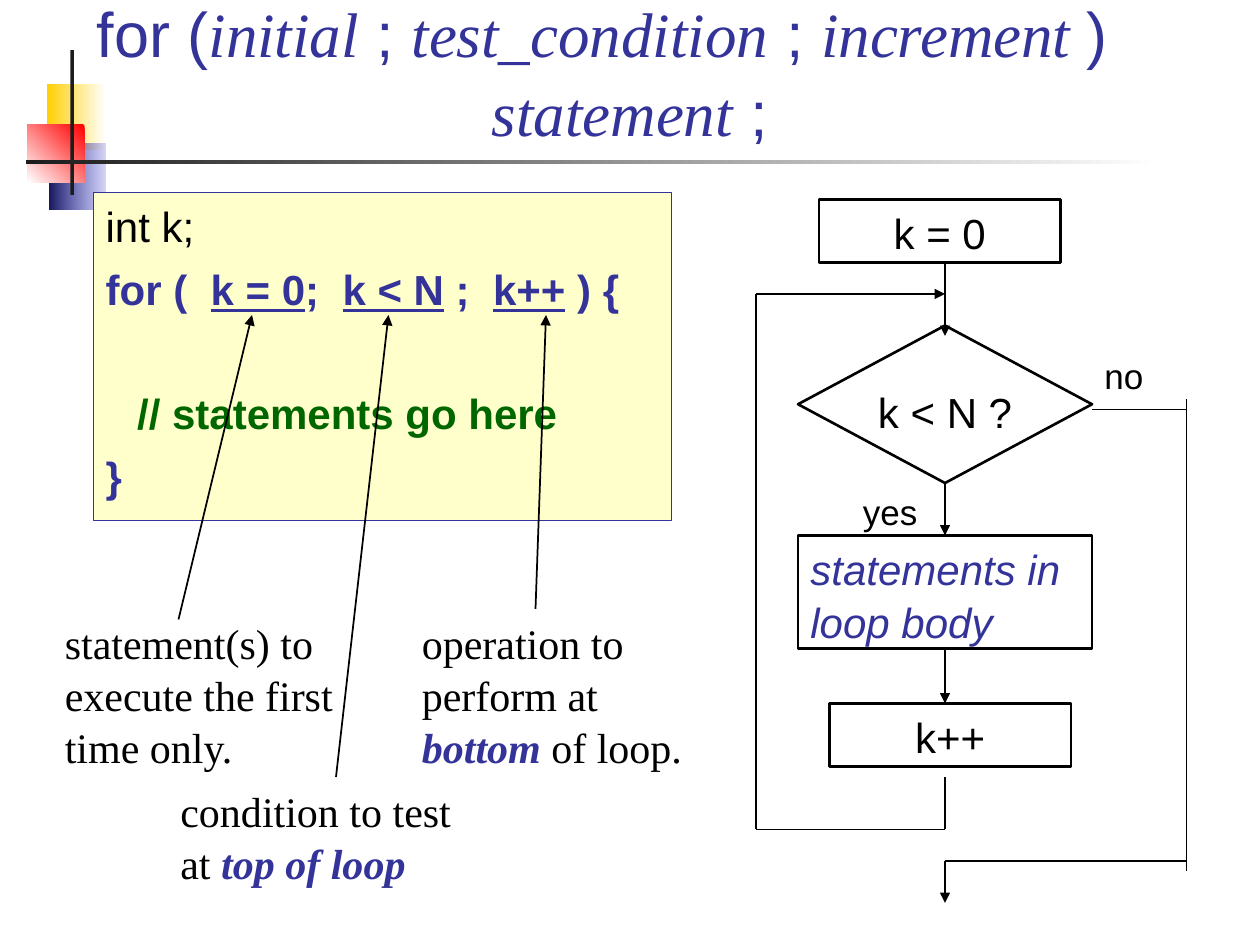
from dataclasses import dataclass

from lxml import etree
from pptx import Presentation
from pptx.dml.color import RGBColor
from pptx.enum.shapes import MSO_CONNECTOR, MSO_SHAPE
from pptx.enum.text import MSO_ANCHOR, MSO_AUTO_SIZE, PP_ALIGN
from pptx.oxml.ns import qn
from pptx.util import Inches, Pt


@dataclass(frozen=True)
class Theme:
    black: str = "000000"
    navy: str = "333399"
    green: str = "006600"
    cream: str = "FFFFCC"
    charcoal: str = "1C1C1C"
    white: str = "FFFFFF"
    sans: str = "Arial"
    serif: str = "Times New Roman"
    title: int = 36
    body: int = 24
    label: int = 20
    leading: float = 1.04


theme = Theme()
CELL = Inches(10) // 120  # the slide is a grid of 120 columns by 90 rows

# style name: font, colour, bold, italic, underline
STYLES = {
    "title": (theme.sans, theme.navy, False, False, False),
    "term": (theme.serif, theme.navy, False, True, False),
    "plain": (theme.sans, theme.black, False, False, False),
    "code": (theme.sans, theme.navy, True, False, False),
    "part": (theme.sans, theme.navy, True, False, True),
    "comment": (theme.sans, theme.green, True, False, False),
    "body": (theme.sans, theme.navy, False, True, False),
    "note": (theme.serif, theme.black, False, False, False),
    "stress": (theme.serif, theme.navy, True, True, False),
}


def write(shape, lines, size=theme.body, align=PP_ALIGN.LEFT, anchor=MSO_ANCHOR.TOP):
    """Fill a shape with lines, each a list of (text, style name) runs."""
    frame = shape.text_frame
    frame.word_wrap = True
    frame.auto_size = MSO_AUTO_SIZE.NONE
    frame.vertical_anchor = anchor
    for index, line in enumerate(lines):
        paragraph = frame.paragraphs[0] if index == 0 else frame.add_paragraph()
        paragraph.alignment = align
        paragraph.line_spacing = theme.leading
        paragraph.space_before = Pt(6 if index else 0)
        for text, style in line:
            if text == "\v":
                paragraph.add_line_break()
                continue
            run = paragraph.add_run()
            run.text = text
            font = run.font
            font.size = Pt(size)
            font.name, colour, font.bold, font.italic, font.underline = STYLES[style]
            font.color.rgb = RGBColor.from_string(colour)


def connect(start, end, width=0.75, arrow=False):
    """Draw a line between two grid points."""
    line = slide.shapes.add_connector(
        MSO_CONNECTOR.STRAIGHT, *[round(value * CELL) for value in (*start, *end)])
    line.line.color.rgb = RGBColor.from_string(theme.black)
    line.line.width = Pt(width)
    if arrow:
        etree.SubElement(line.line._get_or_add_ln(), qn("a:tailEnd"), type="triangle")
    etree.SubElement(line._element.spPr, qn("a:effectLst"))
    return line


presentation = Presentation()
presentation.slide_width, presentation.slide_height = 120 * CELL, 90 * CELL
slide = presentation.slides.add_slide(presentation.slide_layouts[5])

# Ornament: left, top, width, height, first colour, last colour, angle
ornament = [
    (4.44, 8.04, 5.64, 6.24, theme.white, "FFCF01", 180),
    (4.68, 13.68, 5.4, 6.24, "3333CC", "17175E", 180),
    (2.64, 11.88, 5.4, 5.52, "FF0000", theme.white, 225),
    (6.72, 4.8, 0.36, 13.8, theme.charcoal, theme.charcoal, 0),
    (2.52, 15.24, 108, 0.36, theme.white, theme.charcoal, 180),
]
for *box, first, last, angle in ornament:
    shape = slide.shapes.add_shape(MSO_SHAPE.RECTANGLE, *[round(value * CELL) for value in box])
    shape.shadow.inherit = False
    shape.line.fill.background()
    shape.fill.gradient()
    shape.fill.gradient_angle = angle
    for stop, colour in zip(shape.fill.gradient_stops, (first, last)):
        stop.color.rgb = RGBColor.from_string(colour)
    if first == "3333CC":
        faded = shape._element.spPr.find(".//" + qn("a:srgbClr"))
        etree.SubElement(faded, qn("a:alpha"), val="20000")

# Title
title = slide.shapes.title
title.left, title.top, title.width, title.height = [
    round(value * CELL) for value in (8, 3.36, 104, 11.4)]
write(title, [[("for (", "title"), ("initial", "term"), (" ; ", "title"),
               ("test_condition", "term"), (" ; ", "title"), ("increment ", "term"),
               (") \t", "title"), ("statement", "term"), (" ;", "title")]],
      theme.title, PP_ALIGN.CENTER, MSO_ANCHOR.BOTTOM)

# Framed boxes: shape, place, line width, fill, alignment, lines
RECT, CENTER, LEFT = MSO_SHAPE.RECTANGLE, PP_ALIGN.CENTER, PP_ALIGN.LEFT
code_lines = [
    [("int k;", "plain")],
    [("for (  ", "code"), ("k = 0", "part"), (";  ", "code"), ("k < N", "part"),
     (" ;  ", "code"), ("k++", "part"), (" ) {", "code")],
    [("// statements go here", "comment")],
    [("}", "code")],
]
frames = {
    "code": (RECT, (8.88, 18.36, 55.08, 31.2), 0.75, theme.cream, LEFT, code_lines),
    "start": (RECT, (78, 19, 23, 6), 1.5, None, CENTER, [[("k = 0", "plain")]]),
    "test": (MSO_SHAPE.FLOWCHART_DECISION, (76, 31, 28, 15), 1.5, None, CENTER, []),
    "loop": (RECT, (76, 51, 28, 10.8), 1.5, None, LEFT, [[("statements in loop body", "body")]]),
    "step": (RECT, (79, 67, 23, 6), 1.5, None, CENTER, [[("k++", "plain")]]),
}
boxes = {}
for name, (kind, box, width, fill, align, lines) in frames.items():
    shape = slide.shapes.add_shape(kind, *[round(value * CELL) for value in box])
    shape.shadow.inherit = False
    shape.line.width = Pt(width)
    shape.line.color.rgb = RGBColor.from_string(theme.navy if fill else theme.black)
    if fill:
        shape.fill.solid()
        shape.fill.fore_color.rgb = RGBColor.from_string(fill)
    else:
        shape.fill.background()
    write(shape, lines, align=align)
    boxes[name] = shape

comment = boxes["code"].text_frame.paragraphs[2]
comment.space_before = Pt(41)
comment._p.get_or_add_pPr().set("marL", str(Inches(0.25)))

# Loose text: place, size, alignment, runs
texts = [
    ((5, 58, 29, 15.6), theme.body, LEFT,
     [("statement(s) to execute the first time only.", "note")]),
    ((16, 74, 31, 10.8), theme.body, LEFT,
     [("condition to test ", "note"), ("\v", "note"), ("at ", "note"), ("top of loop", "stress")]),
    ((39, 58, 29, 15.6), theme.body, LEFT,
     [("operation to perform at ", "note"), ("bottom", "stress"), (" of loop.", "note")]),
    ((76, 36, 28, 6), theme.body, CENTER, [("k < N ?", "plain")]),
    ((81, 46, 10, 5.28), theme.label, LEFT, [("yes", "plain")]),
    ((104, 33, 10, 5.28), theme.label, LEFT, [("no", "plain")]),
]
for box, size, align, runs in texts:
    write(slide.shapes.add_textbox(*[round(value * CELL) for value in box]), [runs], size, align)

# Pointers from the notes to the parts of the for statement
for start, end in [((17, 59), (24, 30)), ((32, 74), (37, 30)), ((51, 58), (52, 30))]:
    connect(start, end, 1, arrow=True)

# Flow of the loop; each route ends in an arrowhead
routes = [
    [(90, 25), (90, 32)],
    [(90, 74), (90, 79), (72, 79), (72, 28), (90, 28)],
    [(113, 82), (90, 82), (90, 86)],
]
for route in routes:
    for start, end in zip(route, route[1:]):
        connect(start, end, arrow=end == route[-1])
connect((104, 39), (113, 39))
connect((113, 38), (113, 83))
enter = connect((90, 46), (90, 51), arrow=True)
enter.begin_connect(boxes["test"], 2)
enter.end_connect(boxes["loop"], 0)
leave = connect((90, 62), (90, 67), arrow=True)
leave.begin_connect(boxes["loop"], 2)

presentation.save("out.pptx")
